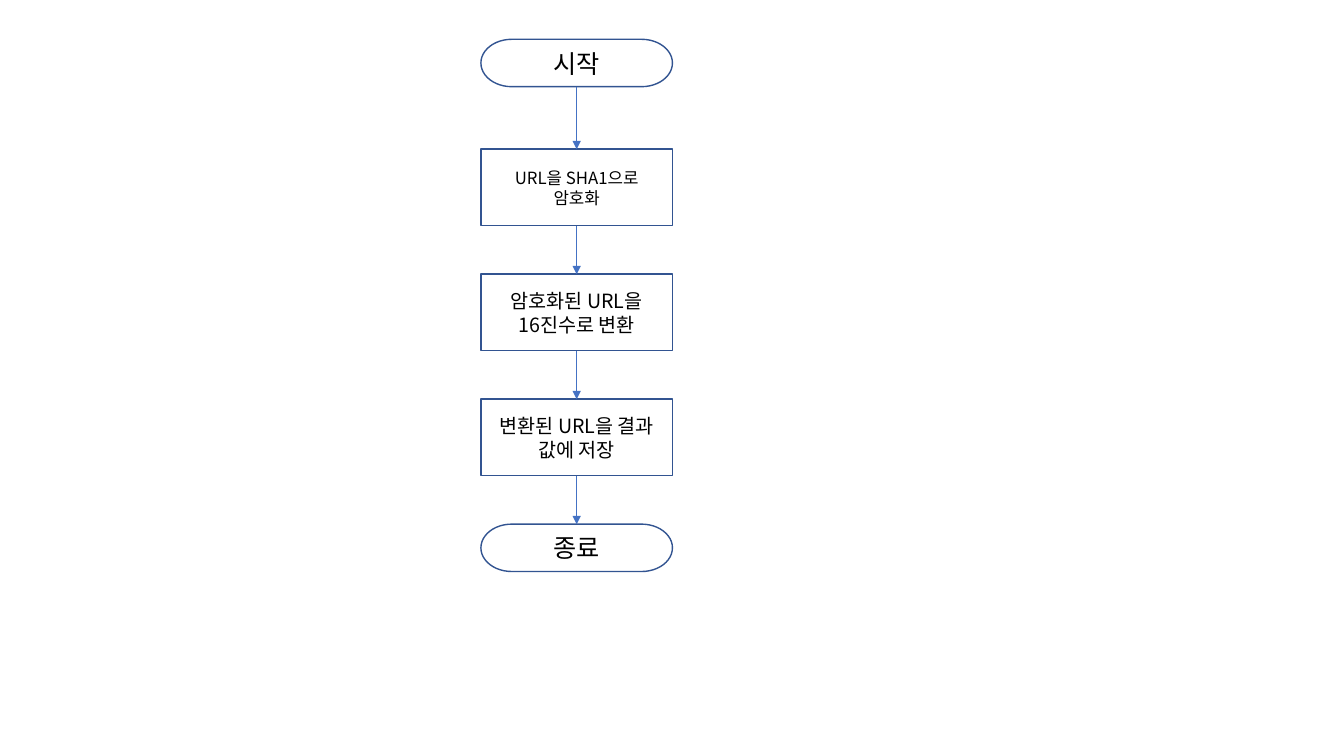
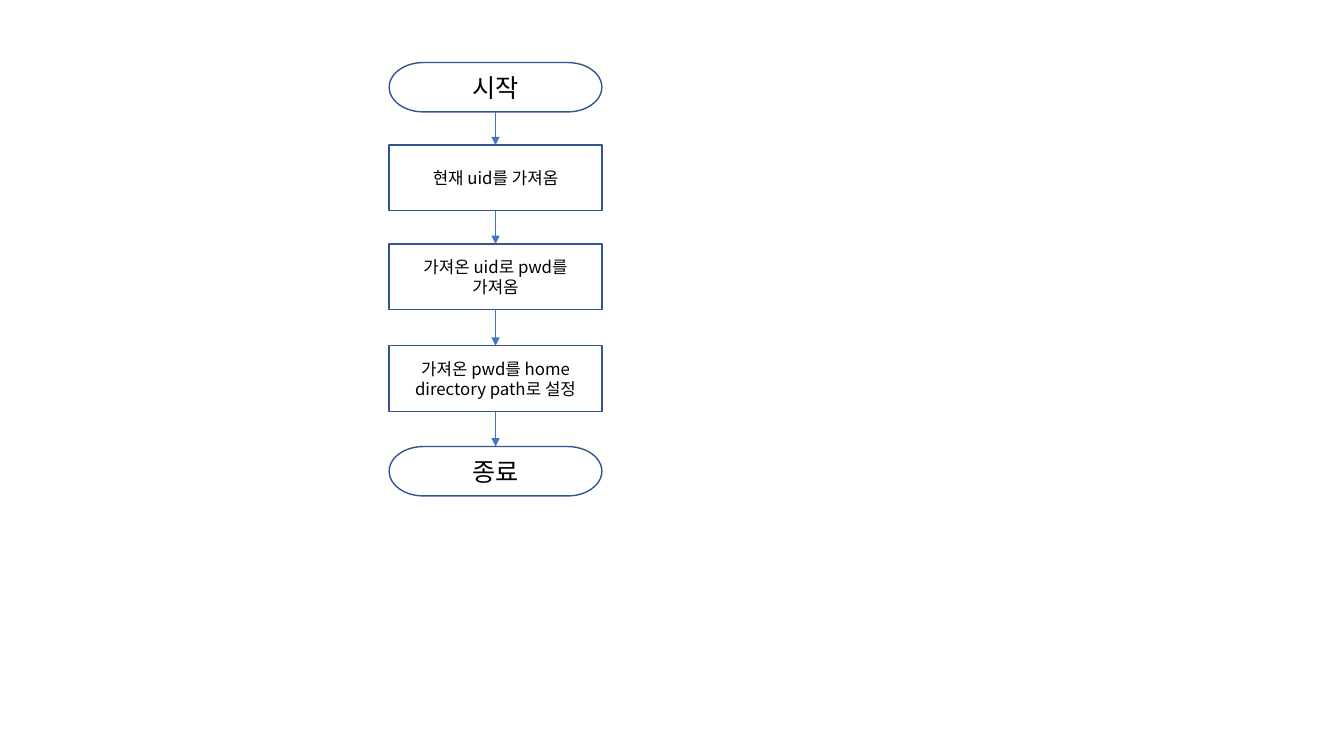
"""Build two slides, each with a vertical flowchart."""
from itertools import pairwise

from lxml.etree import SubElement
from pptx import Presentation
from pptx.dml.color import RGBColor
from pptx.enum.shapes import MSO_CONNECTOR, MSO_SHAPE
from pptx.enum.text import MSO_ANCHOR, PP_ALIGN
from pptx.oxml.ns import qn
from pptx.util import Inches, Pt

WHITE = RGBColor(0xFF, 0xFF, 0xFF)
BLACK = RGBColor(0x00, 0x00, 0x00)
OUTLINE = RGBColor(0x32, 0x54, 0x91)
ARROW = RGBColor(0x44, 0x72, 0xC4)
FONT = "Noto Sans CJK KR"


class Flowchart:
    """Hold the flowchart style and the current slide."""

    def __init__(self, presentation, left, width, terminal_height, step_height):
        self.slide = presentation.slides.add_slide(presentation.slide_layouts[6])
        self.left = left
        self.width = width
        self.terminal_height = terminal_height
        self.step_height = step_height

    def label(self, shape, lines, size):
        """Put centred lines of text into a shape."""
        frame = shape.text_frame
        frame.word_wrap = True
        frame.vertical_anchor = MSO_ANCHOR.MIDDLE
        for index, line in enumerate(lines):
            paragraph = frame.add_paragraph() if index else frame.paragraphs[0]
            paragraph.alignment = PP_ALIGN.CENTER
            run = paragraph.add_run()
            run.text = line
            run.font.size = Pt(size)
            run.font.color.rgb = BLACK
            run.font.name = FONT
            SubElement(run._r.get_or_add_rPr(), qn("a:ea"), typeface=FONT)

    def box(self, kind, top, height, lines, size):
        """Add an outlined box with text."""
        shape = self.slide.shapes.add_shape(
            kind, Inches(self.left), Inches(top), Inches(self.width), Inches(height))
        shape.shadow.inherit = False
        shape.fill.solid()
        shape.fill.fore_color.rgb = WHITE
        shape.line.color.rgb = OUTLINE
        shape.line.width = Pt(1)
        self.label(shape, lines, size)
        return shape

    def terminal(self, top, text):
        """Add a rounded start or end box."""
        return self.box(MSO_SHAPE.FLOWCHART_TERMINATOR, top,
                        self.terminal_height, [text], 18)

    def step(self, top, size, *lines):
        """Add a rectangular process box."""
        return self.box(MSO_SHAPE.FLOWCHART_PROCESS, top,
                        self.step_height, lines, size)

    def arrow(self, upper, lower):
        """Connect the bottom of one box to the top of the next."""
        connector = self.slide.shapes.add_connector(MSO_CONNECTOR.STRAIGHT, 0, 0, 0, 0)
        connector.begin_connect(upper, 2)
        connector.end_connect(lower, 0)
        connector.line.color.rgb = ARROW
        connector.line.width = Pt(0.5)
        SubElement(connector.get_or_add_ln(), qn("a:tailEnd"), type="triangle")
        SubElement(connector._element.spPr, qn("a:effectLst"))

    def draw(self, start_top, steps, end_top):
        """Draw the whole chart from start to end."""
        shapes = [self.terminal(start_top, "시작")]
        shapes += [self.step(*step) for step in steps]
        shapes.append(self.terminal(end_top, "종료"))
        for upper, lower in pairwise(shapes):
            self.arrow(upper, lower)


presentation = Presentation()
presentation.slide_width = Inches(13.33)
presentation.slide_height = Inches(7.5)

hash_chart = Flowchart(presentation, 4.77, 1.9, 0.47, 0.76)
hash_chart.draw(0.39, [
    (1.48, 12, "URL을 SHA1으로", "암호화"),
    (2.72, 14, "암호화된 URL을", "16진수로 변환"),
    (3.96, 14, "변환된 URL을 결과 값에 저장"),
], 5.2)

home_chart = Flowchart(presentation, 3.86, 2.11, 0.49, 0.65)
home_chart.draw(0.62, [
    (1.44, 12, "현재 uid를 가져옴"),
    (2.42, 12, "가져온 uid로 pwd를 가져옴"),
    (3.43, 12, "가져온 pwd를 home directory path로 설정"),
], 4.43)

presentation.save("out.pptx")
